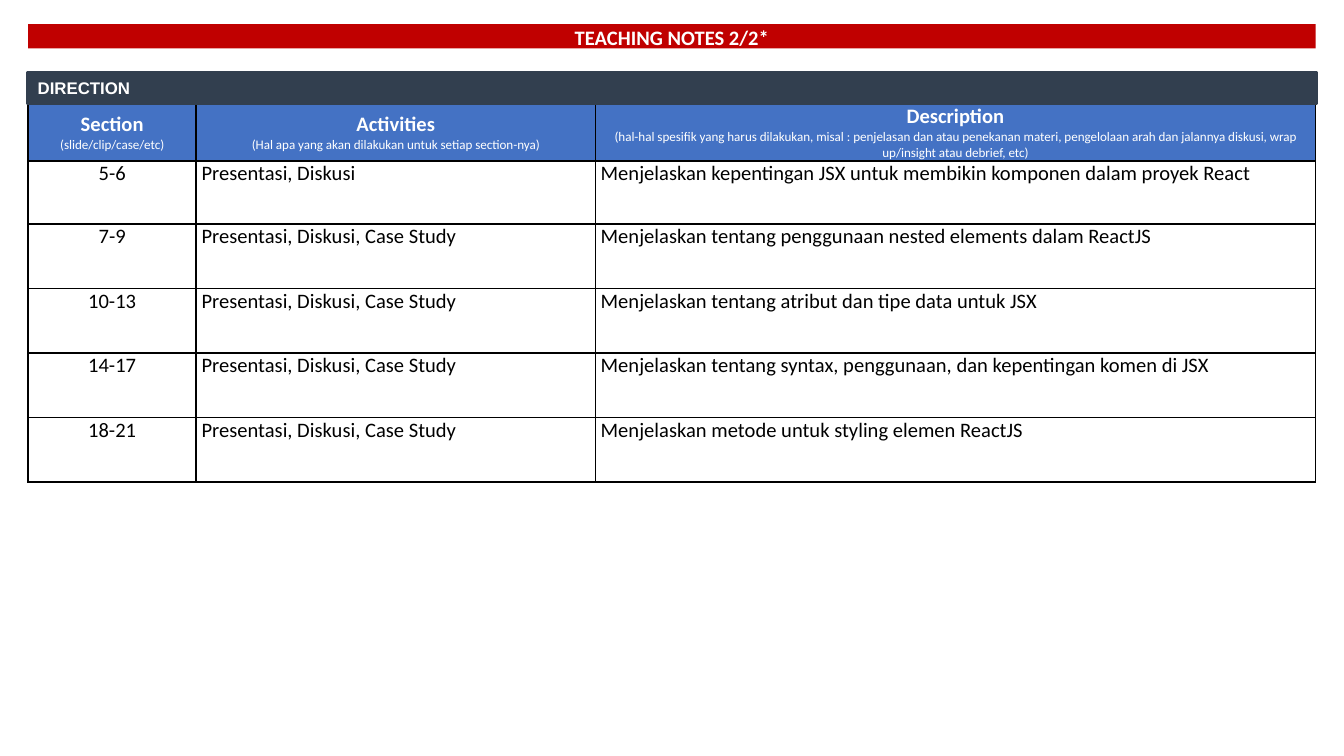
from lxml.etree import SubElement
from pptx import Presentation
from pptx.dml.color import RGBColor
from pptx.enum.shapes import MSO_SHAPE
from pptx.enum.text import MSO_ANCHOR, MSO_AUTO_SIZE, PP_ALIGN
from pptx.oxml.ns import qn
from pptx.util import Inches, Pt

WHITE = RGBColor(0xFF, 0xFF, 0xFF)
BLACK = RGBColor(0, 0, 0)
RED = RGBColor(0xC0, 0, 0)
SLATE = RGBColor(0x32, 0x3F, 0x4F)
BLUE = RGBColor(0x44, 0x72, 0xC4)

TITLE = "TEACHING NOTES 2/2*"
BAND = "DIRECTION"
HEADERS = [
    ("Section", "\n", "(slide/clip/case/etc)"),
    ("Activities", "\n", "(Hal apa yang akan dilakukan untuk setiap section-nya)"),
    ("Description", "\v", "(hal-hal spesifik yang harus dilakukan, misal : penjelasan dan atau "
     "penekanan materi, pengelolaan arah dan jalannya diskusi, wrap up/insight atau debrief, etc)"),
]
SESSIONS = [
    ("5-6", "Presentasi, Diskusi",
     "Menjelaskan kepentingan JSX untuk membikin komponen dalam proyek React"),
    ("7-9", "Presentasi, Diskusi, Case Study",
     "Menjelaskan tentang penggunaan nested elements dalam ReactJS"),
    ("10-13", "Presentasi, Diskusi, Case Study",
     "Menjelaskan tentang atribut dan tipe data untuk JSX"),
    ("14-17", "Presentasi, Diskusi, Case Study",
     "Menjelaskan tentang syntax, penggunaan, dan kepentingan komen di JSX"),
    ("18-21", "Presentasi, Diskusi, Case Study",
     "Menjelaskan metode untuk styling elemen ReactJS"),
]

SLIDE_W = 10
SLIDE_H = SLIDE_W * 9 / 16
MARGIN = 0.21
CONTENT_W = SLIDE_W - 2 * MARGIN
TITLE_TOP, TITLE_H = 0.18, 0.18
BAND_TOP, BAND_H = 0.54, 0.23
COLUMN_WIDTHS = (1.25, 2.97, 5.36)
ROW_HEIGHTS = (0.37, 0.47) + (0.48,) * (len(SESSIONS) - 1)


def style_font(font, size, color, bold=False, face="Calibri"):
    font.name, font.size, font.bold = face, Pt(size), bold
    font.color.rgb = color


def place_bar(bar, top, height, color):
    bar.left, bar.top = Inches(MARGIN), Inches(top)
    bar.width, bar.height = Inches(CONTENT_W), Inches(height)
    bar.fill.solid()
    bar.fill.fore_color.rgb = color
    frame = bar.text_frame
    frame.auto_size = MSO_AUTO_SIZE.NONE
    frame.word_wrap = True
    frame.vertical_anchor = MSO_ANCHOR.MIDDLE
    frame.margin_left = frame.margin_right = Inches(0.07)
    frame.margin_top = frame.margin_bottom = Inches(0.04)


def format_cell(cell, color, anchor):
    cell.margin_left = cell.margin_right = Inches(0.04)
    cell.margin_top = cell.margin_bottom = 0
    cell.vertical_anchor = anchor
    properties = cell._tc.get_or_add_tcPr()
    for side in ("lnL", "lnR", "lnT", "lnB"):
        border = SubElement(properties, qn(f"a:{side}"), w=str(Pt(1)))
        SubElement(SubElement(border, qn("a:solidFill")), qn("a:srgbClr"), val=str(BLACK))
    cell.fill.solid()
    cell.fill.fore_color.rgb = color


def add_sessions(slide):
    table = slide.shapes.add_table(
        len(ROW_HEIGHTS), len(COLUMN_WIDTHS), Inches(MARGIN), Inches(BAND_TOP + BAND_H),
        Inches(CONTENT_W), Inches(sum(ROW_HEIGHTS))).table
    for column, width in zip(table.columns, COLUMN_WIDTHS):
        column.width = Inches(width)
    for row, height in zip(table.rows, ROW_HEIGHTS):
        row.height = Inches(height)

    for column, header in enumerate(HEADERS):
        cell = table.cell(0, column)
        format_cell(cell, BLUE, MSO_ANCHOR.MIDDLE)
        cell.text = "".join(header)
        lines = cell.text_frame.paragraphs
        for line in lines:
            line.alignment = PP_ALIGN.CENTER
        heading, hint = [run for line in lines for run in line.runs]
        style_font(heading.font, 11, WHITE, True)
        style_font(hint.font, 7, WHITE)

    for row, session in enumerate(SESSIONS, 1):
        for column, entry in enumerate(session):
            cell = table.cell(row, column)
            format_cell(cell, WHITE, MSO_ANCHOR.TOP)
            cell.text = entry
            line = cell.text_frame.paragraphs[0]
            line.alignment = PP_ALIGN.LEFT if column else PP_ALIGN.CENTER
            style_font(line.font, 11, BLACK)


def main():
    deck = Presentation()
    deck.slide_width, deck.slide_height = Inches(SLIDE_W), Inches(SLIDE_H)
    slide = deck.slides.add_slide(deck.slide_layouts.get_by_name("Title Only"))

    title = slide.shapes.title
    place_bar(title, TITLE_TOP, TITLE_H, RED)
    title.text_frame.text = TITLE
    title_line = title.text_frame.paragraphs[0]
    title_line.alignment = PP_ALIGN.CENTER
    title_line.line_spacing = 1.07
    style_font(title_line.font, 11, WHITE, True)

    add_sessions(slide)

    band = slide.shapes.add_shape(MSO_SHAPE.RECTANGLE, 0, 0, 0, 0)
    band.shadow.inherit = False
    place_bar(band, BAND_TOP, BAND_H, SLATE)
    band.line.color.rgb = SLATE
    band.line.width = Pt(2)
    band.text_frame.text = BAND
    band_line = band.text_frame.paragraphs[0]
    band_line.alignment = PP_ALIGN.LEFT
    style_font(band_line.font, 9, WHITE, True, "Arial")

    deck.save("out.pptx")


if __name__ == "__main__":
    main()
